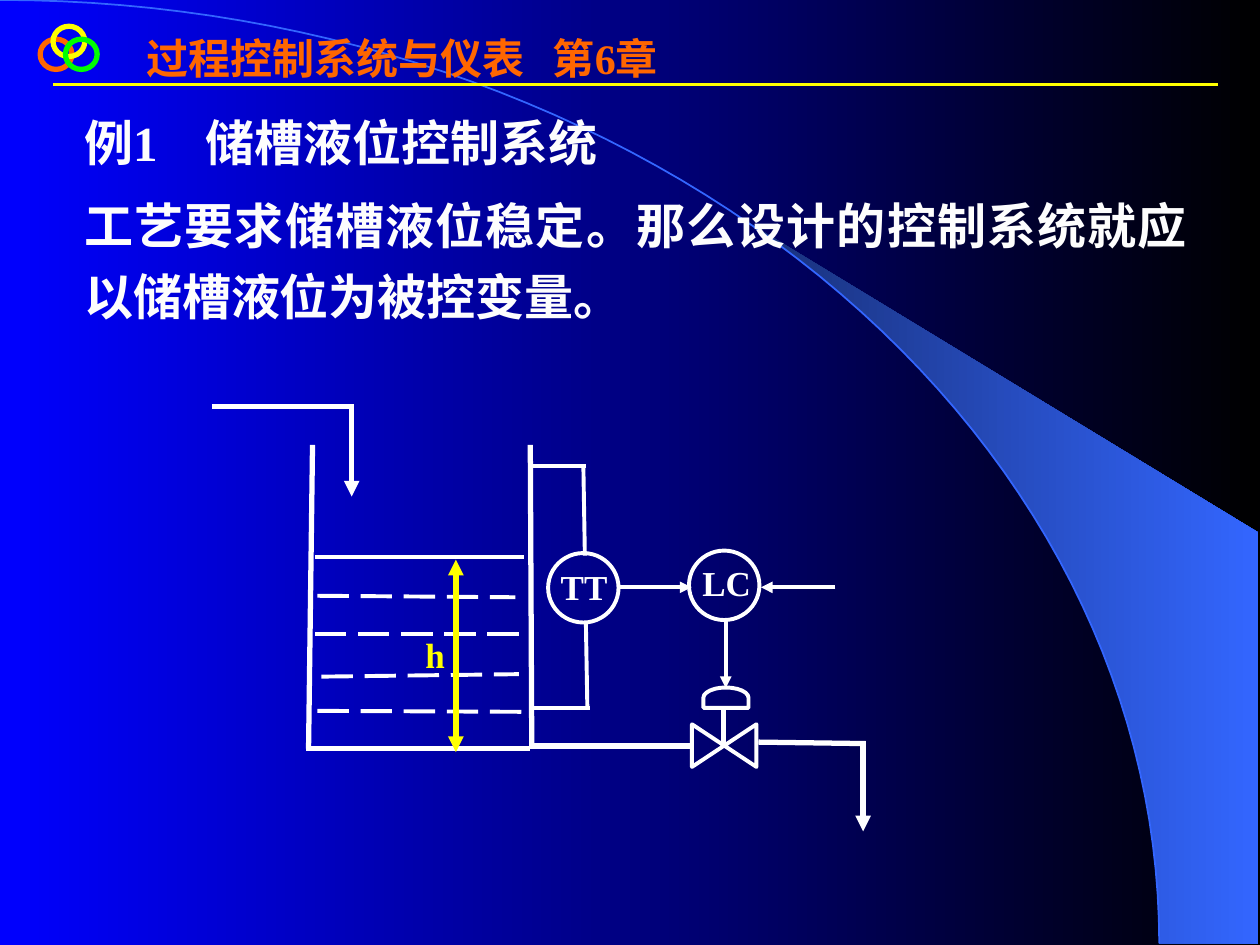
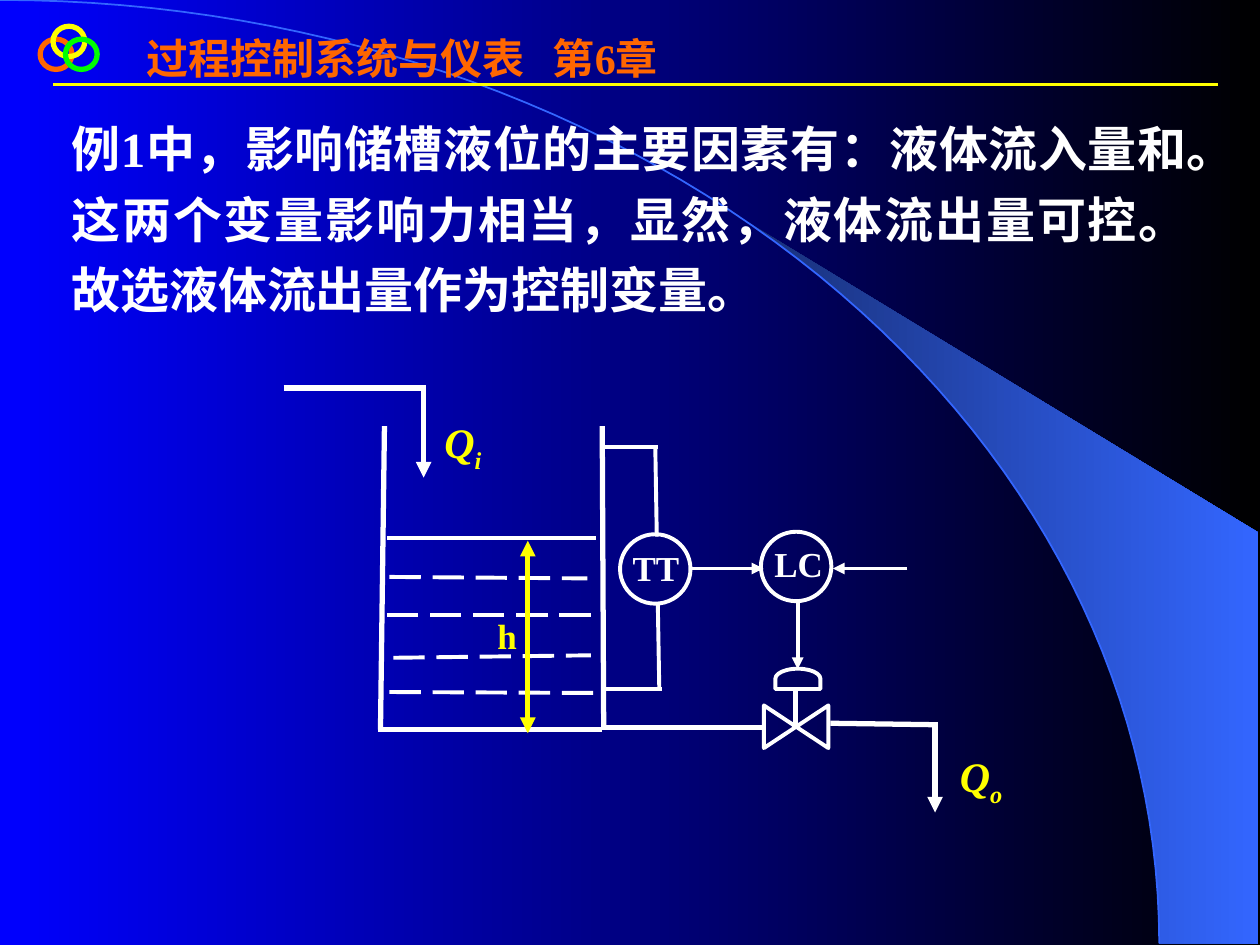
from dataclasses import dataclass
from math import cos, radians, sin

from lxml.etree import SubElement
from pptx import Presentation
from pptx.dml.color import RGBColor
from pptx.enum.dml import MSO_LINE
from pptx.enum.shapes import MSO_CONNECTOR, MSO_SHAPE
from pptx.enum.text import MSO_ANCHOR, MSO_AUTO_SIZE, PP_ALIGN
from pptx.oxml.ns import qn
from pptx.util import Cm, Pt

COLORS = {
    "white": "FFFFFF",
    "body": "FDFDFD",
    "yellow": "FFFF00",
    "orange": "FF6600",
    "green": "00FF00",
    "blue": "0000FF",
    "black": "000000",
    "beam_dark": "182F76",
    "beam_light": "3366FF",
}
FONT = "Times New Roman"
HEADER = "过程控制系统与仪表\t第6章"
ARC_WIDTH, ARC_HEIGHT = 23.37, 19.02
THICK, THIN = 3, 2.25


@dataclass
class Line:
    x1: float
    y1: float
    x2: float
    y2: float
    width: float = THIN
    color: str = "white"
    dashed: bool = False
    head: bool = False
    tail: bool = False


@dataclass
class Outline:
    kind: MSO_SHAPE
    x: float
    y: float
    w: float
    h: float
    color: str = "white"
    width: float = THIN
    rotation: float = 0


@dataclass
class Label:
    text: str
    x: float
    y: float
    w: float
    h: float
    size: float = 20
    color: str = "white"
    align: PP_ALIGN = PP_ALIGN.CENTER
    wrap: bool = True
    subscript: str = ""


RINGS = [
    Outline(MSO_SHAPE.OVAL, x, y, 0.64, 0.61, color, 3)
    for x, y, color in [(0.81, 0.79, "orange"), (1.07, 0.53, "yellow"), (1.32, 0.79, "green")]
]
HEADER_RULE = Line(1.07, 1.7, 24.56, 1.7, 1.5, "yellow")

TANK_AND_PIPES = [
    Line(4.27, 8.2, 7.14, 8.2, THICK),
    Line(7.09, 8.15, 7.09, 10.01, THICK, tail=True),
    Line(6.3, 8.97, 6.22, 15.09, THICK),
    Line(10.69, 8.97, 10.72, 15.09, THICK),
    Line(6.17, 15.09, 10.69, 15.09, THICK),
    Line(10.69, 15.04, 13.94, 15.04, THICK),
    Line(15.29, 14.96, 17.45, 14.99, THICK),
    Line(17.4, 14.94, 17.4, 16.76, THICK, tail=True),
]
LIQUID = [
    Line(6.35, 11.23, 10.57, 11.23),
    Line(6.4, 12.01, 10.39, 12.04, dashed=True),
    Line(6.35, 12.78, 10.64, 12.78, dashed=True),
    Line(6.48, 13.64, 10.46, 13.59, dashed=True),
    Line(6.4, 14.33, 10.69, 14.35, dashed=True),
]
SIGNALS = [
    Line(10.72, 9.4, 11.81, 9.4),
    Line(10.67, 14.27, 11.89, 14.27),
    Line(11.76, 9.4, 11.79, 11.2),
    Line(11.81, 12.52, 11.84, 14.25),
    Line(12.47, 11.84, 13.94, 11.84, tail=True),
    Line(14.63, 12.52, 14.63, 13.87, tail=True),
    Line(16.84, 11.84, 15.34, 11.84, tail=True),
]
VALVE_STEM = Line(14.58, 14.27, 14.58, 15.01, THICK)
LEVEL_ARROW = Line(9.19, 11.28, 9.19, 15.16, THICK, "yellow", head=True, tail=True)
INSTRUMENTS = [
    Outline(MSO_SHAPE.FLOWCHART_COLLATE, 14.17, 14.38, 0.86, 1.3, rotation=270),
    Outline(MSO_SHAPE.FLOWCHART_DELAY, 14.43, 13.61, 0.41, 0.91, rotation=270),
    Outline(MSO_SHAPE.OVAL, 13.89, 11.1, 1.42, 1.4),
    Outline(MSO_SHAPE.OVAL, 11.05, 11.15, 1.42, 1.4),
]
DIAGRAM_LABELS = [
    Label("LC", 13.61, 11.2, 2.08, 1.22),
    Label("TT", 10.72, 11.28, 2.11, 1.22),
    Label("h", 8.33, 12.65, 0.89, 1.12, color="yellow", wrap=False),
]
FLOW_LABELS = [
    Label("Q", 8.71, 8.28, 1.24, 1.42, 24, "yellow", PP_ALIGN.LEFT, False, "i"),
    Label("Q", 19.1, 15.01, 1.37, 1.42, 24, "yellow", PP_ALIGN.LEFT, False, "o"),
]


def rgb(name: str) -> RGBColor:
    return RGBColor.from_string(COLORS[name])


def set_gradient(fill, start: str, end: str) -> None:
    fill.gradient()
    fill.gradient_angle = 0
    for stop, color, position in zip(fill.gradient_stops, (start, end), (0, 1)):
        stop.color.rgb = rgb(color)
        stop.position = position


def write_text(tf, text, *, size=28, color="white", align=PP_ALIGN.LEFT, wrap=True,
               spacing=None, before=0, tab=None, italic=False, subscript="") -> None:
    tf.word_wrap = wrap
    tf.auto_size = MSO_AUTO_SIZE.NONE
    tf.vertical_anchor = MSO_ANCHOR.TOP
    for i, line in enumerate(text.split("\n")):
        p = tf.add_paragraph() if i else tf.paragraphs[0]
        if tab and "\t" in line:
            tabs = SubElement(p._p.get_or_add_pPr(), qn("a:tabLst"))
            SubElement(tabs, qn("a:tab"), pos=str(Cm(tab)), algn="l")
        p.alignment = align
        p.line_spacing = spacing
        if i:
            p.space_before = Pt(before)
        for part in filter(None, (line, subscript)):
            r = p.add_run()
            r.text = part
            r.font.name = FONT
            r.font.size = Pt(size)
            r.font.bold = True
            r.font.italic = italic
            r.font.color.rgb = rgb(color)
            if part == subscript:
                r.font._element.set("baseline", "-25000")


def draw_line(shapes, line: Line) -> None:
    c = shapes.add_connector(MSO_CONNECTOR.STRAIGHT, Cm(line.x1), Cm(line.y1),
                             Cm(line.x2), Cm(line.y2))
    c.line.color.rgb = rgb(line.color)
    c.line.width = Pt(line.width)
    if line.dashed:
        c.line.dash_style = MSO_LINE.LONG_DASH
    sp_pr = c._element.spPr
    for tag, shown in (("a:headEnd", line.head), ("a:tailEnd", line.tail)):
        if shown:
            SubElement(sp_pr.find(qn("a:ln")), qn(tag), type="triangle")
    SubElement(sp_pr, qn("a:effectLst"))


def draw_outline(shapes, outline: Outline) -> None:
    sp = shapes.add_shape(outline.kind, Cm(outline.x), Cm(outline.y),
                          Cm(outline.w), Cm(outline.h))
    sp.rotation = outline.rotation
    sp.shadow.inherit = False
    sp.fill.background()
    sp.line.color.rgb = rgb(outline.color)
    sp.line.width = Pt(outline.width)


def draw_label(shapes, label: Label) -> None:
    box = shapes.add_textbox(Cm(label.x), Cm(label.y), Cm(label.w), Cm(label.h))
    write_text(box.text_frame, label.text, size=label.size, color=label.color,
               align=label.align, wrap=label.wrap, italic=bool(label.subscript),
               subscript=label.subscript)


def arc_points(start: float, end: float, steps: int = 60) -> list[tuple[int, int]]:
    angles = [radians(start + (end - start) * i / steps) for i in range(steps + 1)]
    return [(Cm(ARC_WIDTH * sin(a)), Cm(ARC_HEIGHT * (1 - cos(a)))) for a in angles]


def draw_freeform(shapes, points: list[tuple[int, int]], close: bool):
    builder = shapes.build_freeform(*points[0])
    builder.add_line_segments(points[1:], close=close)
    sp = builder.convert_to_shape()
    sp.shadow.inherit = False
    return sp


def draw_frame(s) -> None:
    set_gradient(s.background.fill, "blue", "black")
    corner = [(Cm(25.37), Cm(19.02)), (Cm(25.37), Cm(10.74))]
    beam = draw_freeform(s.shapes, arc_points(39.8, 90) + corner, True)
    set_gradient(beam.fill, "beam_dark", "beam_light")
    beam.line.fill.background()
    arc = draw_freeform(s.shapes, arc_points(0, 90), False)
    arc.fill.background()
    arc.line.color.rgb = rgb("beam_light")
    arc.line.width = Pt(1)
    draw_line(s.shapes, HEADER_RULE)
    for ring in RINGS:
        draw_outline(s.shapes, ring)

    title = s.shapes.title
    title.left, title.top, title.width, title.height = Cm(2.69), Cm(0.53), Cm(11.4), Cm(2.29)
    write_text(title.text_frame, HEADER, size=24, color="orange", tab=8.2)
    s.shapes._spTree.append(title._element)


def draw_diagram(s, dx: float = 0, dy: float = 0) -> None:
    group = s.shapes.add_group_shape()
    for line in TANK_AND_PIPES + LIQUID + SIGNALS:
        draw_line(group.shapes, line)
    for outline in INSTRUMENTS:
        draw_outline(group.shapes, outline)
    for line in (VALVE_STEM, LEVEL_ARROW):
        draw_line(group.shapes, line)
    for label in DIAGRAM_LABELS:
        draw_label(group.shapes, label)
    group.left += Cm(dx)
    group.top += Cm(dy)


def add_slide(prs, text: str, x: float, y: float, w: float, h: float, color: str):
    s = prs.slides.add_slide(prs.slide_layouts[5])
    draw_frame(s)
    box = s.shapes.add_textbox(Cm(x), Cm(y), Cm(w), Cm(h))
    write_text(box.text_frame, text, color=color, align=PP_ALIGN.JUSTIFY,
               spacing=1.2, before=7, tab=2.45)
    return s


def main() -> None:
    prs = Presentation()
    prs.slide_width, prs.slide_height = Cm(25.4), Cm(19.05)

    s = add_slide(prs, "例1\t储槽液位控制系统\n"
                  "工艺要求储槽液位稳定。那么设计的控制系统就应以储槽液位为被控变量。",
                  1.45, 1.91, 22.73, 4.78, "body")
    draw_diagram(s)

    s = add_slide(prs, "例1中，影响储槽液位的主要因素有：液体流入量和。"
                  "这两个变量影响力相当，显然，液体流出量可控。"
                  "故选液体流出量作为控制变量。",
                  1.19, 2.03, 23.01, 4.52, "white")
    draw_diagram(s, 1.45, -0.38)
    for label in FLOW_LABELS:
        draw_label(s.shapes, label)

    prs.save("out.pptx")


if __name__ == "__main__":
    main()
